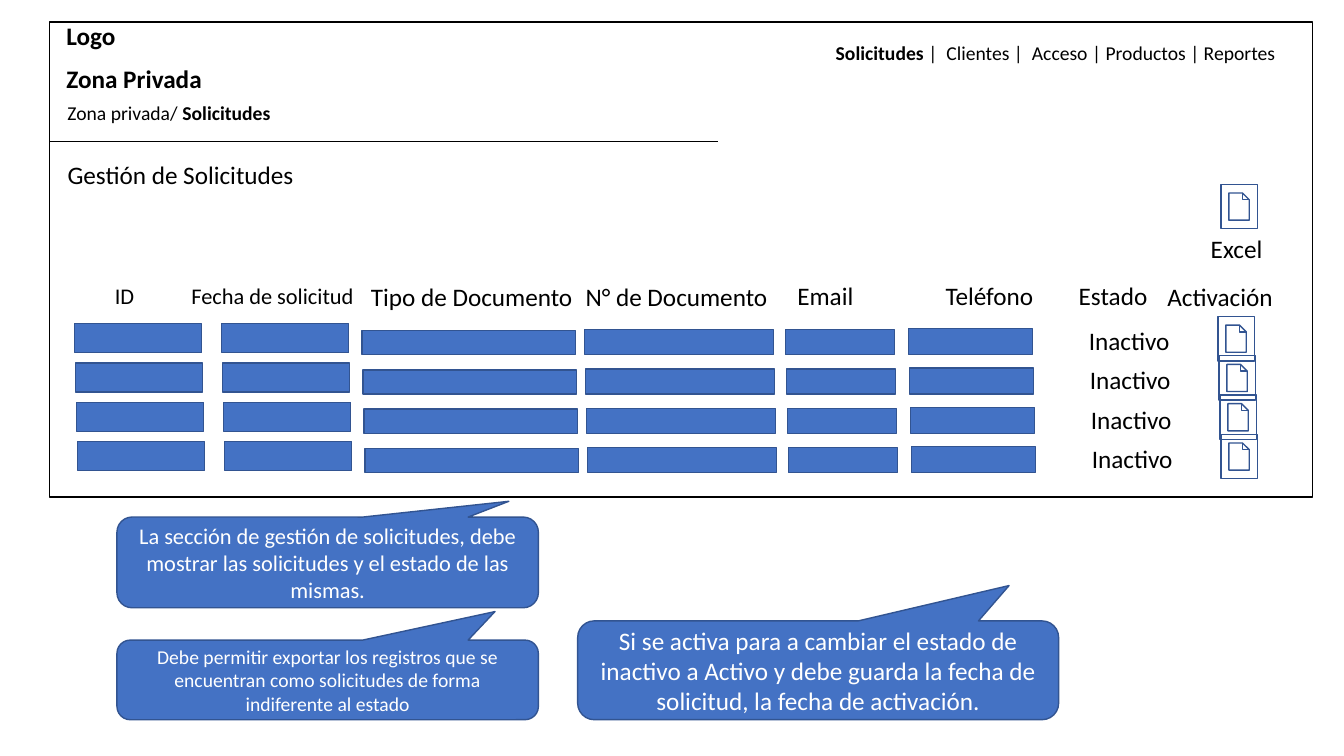
from pptx import Presentation
from pptx.dml.color import RGBColor
from pptx.enum.shapes import MSO_CONNECTOR, MSO_SHAPE
from pptx.enum.text import MSO_ANCHOR, MSO_AUTO_SIZE, PP_ALIGN
from pptx.oxml.ns import qn
from pptx.util import Inches, Pt
from lxml.etree import SubElement

COLORS = {"ink": "000000", "blue": "4472C4", "edge": "325491", "white": "FFFFFF"}
FONT = "Calibri"


def color(name):
    return RGBColor.from_string(COLORS[name])


def write_text(frame, *spans, size=18, ink="ink", align=PP_ALIGN.LEFT,
               anchor=MSO_ANCHOR.TOP, wrap=True, fit=MSO_AUTO_SIZE.NONE):
    """Fill a text frame with one paragraph of (text, bold) spans."""
    frame.word_wrap = wrap
    frame.auto_size = fit
    frame.vertical_anchor = anchor
    paragraph = frame.paragraphs[0]
    paragraph.alignment = align
    for text, bold in spans:
        span = paragraph.add_run()
        span.text = text
        span.font.name = FONT
        span.font.size = Pt(size)
        span.font.bold = bold
        span.font.color.rgb = color(ink)


class Wireframe:
    def __init__(self, page):
        self.page = page

    def title(self, text, *at):
        box = self.page.shapes.title
        box.left, box.top, box.width, box.height = map(Inches, at)
        write_text(box.text_frame, (text, False), wrap=False)

    def label(self, *spans, at, size=18, wrap=False):
        box = self.page.shapes.add_textbox(*map(Inches, at))
        write_text(box.text_frame, *spans, size=size, wrap=wrap,
                   fit=MSO_AUTO_SIZE.SHAPE_TO_FIT_TEXT)

    def shape(self, kind, at, fill=None, line="edge"):
        box = self.page.shapes.add_shape(kind, *map(Inches, at))
        box.shadow.inherit = False
        if fill:
            box.fill.solid()
            box.fill.fore_color.rgb = color(fill)
        else:
            box.fill.background()
        box.line.color.rgb = color(line)
        box.line.width = Pt(1)
        return box

    def document_button(self, left, top):
        self.shape(MSO_SHAPE.ACTION_BUTTON_DOCUMENT, (left, top, 0.36, 0.44))

    def callout(self, text, at, tip, size):
        box = self.shape(MSO_SHAPE.ROUNDED_RECTANGULAR_CALLOUT, at, fill="blue")
        for index, value in enumerate((*tip, 0.167)):
            box.adjustments[index] = value
        write_text(box.text_frame, (text, False), size=size, ink="white",
                   align=PP_ALIGN.CENTER, anchor=MSO_ANCHOR.MIDDLE)

    def rule(self, left, right, top):
        line = self.page.shapes.add_connector(
            MSO_CONNECTOR.STRAIGHT, *map(Inches, (left, top, right, top)))
        line.line.color.rgb = color("ink")
        line.line.width = Pt(0.5)
        SubElement(line._element.spPr, qn("a:effectLst"))


def main():
    deck = Presentation()
    deck.slide_width, deck.slide_height = Inches(13.33), Inches(7.5)
    frame = Wireframe(deck.slides.add_slide(deck.slide_layouts[5]))

    # Window and header
    frame.shape(MSO_SHAPE.RECTANGLE, (0.49, 0.22, 12.53, 4.71), line="ink")
    frame.label(("Logo", True), at=(0.56, 0.15, 1.43, 0.4), wrap=True)
    frame.label(("Zona Privada", True), at=(0.56, 0.58, 2.31, 0.4), wrap=True)
    frame.label(("Zona privada/ ", False), ("Solicitudes", True),
                at=(0.57, 0.95, 2.29, 0.34), size=14)
    frame.label(("Solicitudes", True),
                (" |  Clientes |  Acceso | Productos | Reportes", False),
                at=(8.19, 0.36, 4.82, 0.34), size=14, wrap=True)
    frame.rule(0.49, 7.12, 1.4)
    frame.title("Gestión de Solicitudes", 0.57, 1.53, 2.57, 0.4)

    # Export button
    frame.document_button(12.11, 1.83)
    frame.label(("Excel", False), at=(11.91, 2.27, 0.72, 0.4))

    # Column headings: text, left, top, width, size
    headings = [
        ("ID", 1.04, 2.75, 0.4, 16),
        ("Fecha de solicitud", 1.8, 2.75, 1.83, 16),
        ("Tipo de Documento", 3.58, 2.74, 2.23, 18),
        ("N° de Documento", 5.71, 2.74, 2.03, 18),
        ("Email", 7.81, 2.73, 0.76, 18),
        ("Teléfono", 9.28, 2.73, 1.08, 18),
        ("Estado", 10.6, 2.73, 0.89, 18),
        ("Activación", 11.48, 2.74, 1.26, 18),
    ]
    for text, left, top, width, size in headings:
        frame.label((text, False), at=(left, top, width, 0.4), size=size)

    # Request rows, each shifted slightly to the right
    fields = [
        (0.74, 3.21, 1.26, 0.29), (2.2, 3.21, 1.26, 0.29),
        (3.59, 3.28, 2.12, 0.24), (5.8, 3.27, 1.87, 0.25),
        (7.79, 3.27, 1.08, 0.25), (9.01, 3.26, 1.23, 0.26),
    ]
    for row in range(4):
        shift, drop = 0.01 * row, 0.39 * row
        for left, top, width, height in fields:
            frame.shape(MSO_SHAPE.RECTANGLE,
                        (left + shift, top + drop, width, height), fill="blue")
        frame.label(("Inactivo", False), at=(10.7 + shift, 3.18 + drop, 1.01, 0.4))
        frame.document_button(12.08 + shift, 3.14 + drop)

    # Explanatory callouts
    frame.callout("La sección de gestión de solicitudes, debe mostrar las "
                  "solicitudes y el estado de las mismas.",
                  (1.16, 5.13, 4.18, 0.9), (0.43, -0.674), 16)
    frame.callout("Debe permitir exportar los registros que se encuentran como "
                  "solicitudes de forma indiferente al estado",
                  (1.16, 6.35, 4.18, 0.79), (0.397, -0.858), 14)
    frame.callout("Si se activa para a cambiar el estado de inactivo a Activo y "
                  "debe guarda la fecha de solicitud, la fecha de activación.",
                  (5.73, 6.16, 4.77, 0.98), (0.397, -0.858), 18)

    deck.save("out.pptx")


if __name__ == "__main__":
    main()
